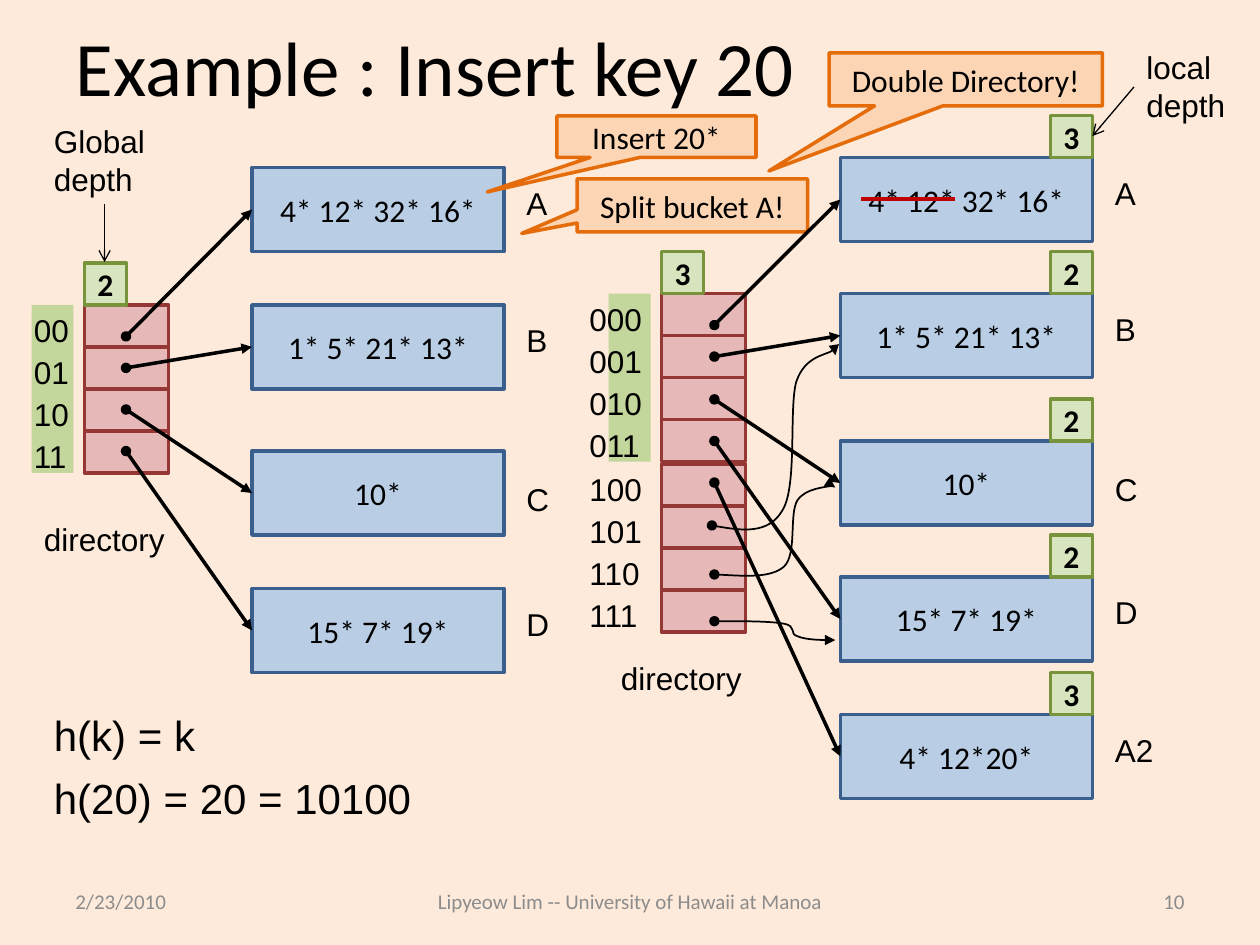
from dataclasses import dataclass
from typing import Any, Optional

from lxml.etree import SubElement
from pptx import Presentation
from pptx.dml.color import RGBColor
from pptx.enum.shapes import MSO_CONNECTOR, MSO_SHAPE
from pptx.enum.text import MSO_ANCHOR, PP_ALIGN
from pptx.oxml.ns import qn
from pptx.util import Inches, Pt


@dataclass(frozen=True)
class Theme:
    background: str = "FDEADA"
    ink: str = "000000"
    muted: str = "8C8C8C"
    strike: str = "C00000"
    band: str = "C3D69B"
    bucket: tuple = ("B9CDE5", "3A5F8C")
    cell: tuple = ("E6B9B8", "953735")
    badge: tuple = ("D7E4BD", "77933C")
    callout: tuple = ("FCD5B5", "E46C0A")
    head_font: str = "Calibri"
    label_font: str = "Arial"
    title: int = 44
    formula: int = 24
    body: int = 18
    footer: int = 12


@dataclass(frozen=True)
class Bucket:
    name: str
    keys: str
    top: float
    depth: str = ""
    name_drop: float = 0.08


@dataclass(frozen=True)
class Directory:
    left: float
    row_tops: list
    tags: list
    tag_left: float
    tag_width: float
    depth: str
    band_left: float
    caption: tuple
    bucket_left: float
    buckets: list
    pointer_left: float
    pointer_tops: list


@dataclass(frozen=True)
class Callout:
    text: str
    box: tuple
    tip: tuple


THEME = Theme()
ROW = 1 / 3
BUCKET_SIZE = (2, 2 * ROW)


def color(code: str) -> RGBColor:
    return RGBColor.from_string(code)


def apply(target: Any, values: dict) -> None:
    for name, value in values.items():
        setattr(target, name, value)


def write(frame: Any, text: str, size: int = THEME.body, font: str = THEME.head_font,
          ink: str = THEME.ink, bold: bool = False, align: Any = PP_ALIGN.LEFT,
          anchor: Any = MSO_ANCHOR.TOP, wrap: bool = True) -> None:
    apply(frame, {"word_wrap": wrap, "vertical_anchor": anchor})
    for index, line in enumerate(text.split("\n")):
        para = frame.paragraphs[0] if index == 0 else frame.add_paragraph()
        para.alignment = align
        span = para.add_run()
        span.text = line
        apply(span.font, {"name": font, "size": Pt(size), "bold": bold})
        span.font.color.rgb = color(ink)


def add_label(page: Any, text: str, box: tuple, **style: Any) -> None:
    label = page.shapes.add_textbox(*map(Inches, box))
    write(label.text_frame, text, **{"font": THEME.label_font, "wrap": False, **style})


def add_box(page: Any, box: tuple, fill: str, line: Optional[str] = None, text: str = "",
            bold: bool = False, preset: Any = MSO_SHAPE.RECTANGLE) -> Any:
    shape = page.shapes.add_shape(preset, *map(Inches, box))
    shape.shadow.inherit = False
    shape.fill.solid()
    shape.fill.fore_color.rgb = color(fill)
    if line:
        shape.line.color.rgb = color(line)
        shape.line.width = Pt(2)
    else:
        shape.line.fill.background()
    if text:
        write(shape.text_frame, text, bold=bold, align=PP_ALIGN.CENTER, anchor=MSO_ANCHOR.MIDDLE)
    return shape


def style_line(shape: Any, width: float, ink: str, head: str, tail: str) -> None:
    shape.line.color.rgb = color(ink)
    shape.line.width = Pt(width)
    outline = shape.line._get_or_add_ln()
    for tag, kind in (("a:headEnd", head), ("a:tailEnd", tail)):
        if kind:
            SubElement(outline, qn(tag)).set("type", kind)


def add_line(page: Any, start: tuple, end: tuple, width: float = 2, ink: str = THEME.ink,
             head: str = "", tail: str = "") -> None:
    line = page.shapes.add_connector(MSO_CONNECTOR.STRAIGHT, *map(Inches, start + end))
    style_line(line, width, ink, head, tail)
    SubElement(line._element.spPr, qn("a:effectLst"))


def add_curve(page: Any, points: list) -> None:
    start, *controls = [tuple(map(Inches, point)) for point in points]
    builder = page.shapes.build_freeform(*start)
    builder.add_line_segments(controls, close=False)
    curve = builder.convert_to_shape()
    curve.shadow.inherit = False
    curve.fill.background()
    style_line(curve, 1, THEME.ink, "oval", "triangle")
    segments = list(curve._element.iter(qn("a:lnTo")))
    outline = segments[0].getparent()
    for first in range(0, len(segments), 3):
        bend = SubElement(outline, qn("a:cubicBezTo"))
        for segment in segments[first:first + 3]:
            bend.append(segment[0])
            outline.remove(segment)


def add_directory(page: Any, table: Directory) -> None:
    add_box(page, (table.band_left, table.row_tops[0], ROW, 4 * ROW), THEME.band)
    for top, tag in zip(table.row_tops, table.tags):
        add_box(page, (table.left, top, 2 * ROW, ROW), *THEME.cell)
        add_label(page, tag, (table.tag_left, top, table.tag_width, 0.4))
    add_box(page, (table.left, table.row_tops[0] - ROW, ROW, ROW), *THEME.badge, table.depth, True)
    add_label(page, "directory", (*table.caption, 1.25, 0.4), wrap=True)
    left = table.bucket_left
    for bucket, pointer_top in zip(table.buckets, table.pointer_tops):
        add_box(page, (left, bucket.top, *BUCKET_SIZE), *THEME.bucket, bucket.keys)
        if bucket.depth:
            add_box(page, (left + 5 * ROW, bucket.top - ROW, ROW, ROW), *THEME.badge,
                    bucket.depth, True)
        add_label(page, bucket.name, (left + 2.08, bucket.top + bucket.name_drop,
                                      0.51 if len(bucket.name) > 1 else 0.37, 0.4))
        add_line(page, (table.pointer_left, pointer_top), (left, bucket.top + ROW),
                 head="oval", tail="triangle")


before = Directory(
    0.67, [2.42 + ROW * i for i in range(4)], [f"{i:02b}" for i in range(4)], 0.17, 0.48,
    "2", 0.25, (0.25, 4.08), 2,
    [Bucket("A", "4* 12* 32* 16*", 1.33), Bucket("B", "1* 5* 21* 13*", 2.42),
     Bucket("C", "10*", 3.58, name_drop=0.18), Bucket("D", "15* 7* 19*", 4.67)],
    1, [2.67, 2.92, 3.25, 3.58])
after = Directory(
    5.25, [(2.33 if i < 4 else 2.35) + ROW * i for i in range(8)],
    [f"{i:03b}" for i in range(8)], 4.58, 0.65, "3", 4.83, (4.83, 5.18), 6.67,
    [Bucket("A", "4* 12* 32* 16*", 1.25, "3"), Bucket("B", "1* 5* 21* 13*", 2.33, "2"),
     Bucket("C", "10*", 3.5, "2", 0.18), Bucket("D", "15* 7* 19*", 4.58, "2"),
     Bucket("A2", "4* 12*20*", 5.67, "3")],
    5.67, [2.58, 2.83, 3.17, 3.5, 3.83])
callouts = [
    Callout("Insert 20*", (4.42, 0.92, 1.58, 0.33), (-0.85, 1.33)),
    Callout("Split bucket A!", (4.58, 1.42, 1.83, 0.42), (-0.74, 0.53)),
    Callout("Double Directory!", (6.58, 0.42, 2.17, 0.42), (-0.72, 1.73))]
shared_pointers = [
    [(5.65, 4.17), (5.87, 4.21), (6.1, 4.24), (6.21, 4.05), (6.33, 3.86), (6.26, 3.24),
     (6.32, 3.03), (6.39, 2.82), (6.56, 2.82), (6.61, 2.78), (6.67, 2.75), (6.65, 2.78), (6.63, 2.82)],
    [(5.67, 4.56), (5.89, 4.57), (6.11, 4.59), (6.22, 4.5), (6.33, 4.4), (6.26, 4.08),
     (6.33, 3.97), (6.4, 3.87), (6.57, 3.87), (6.62, 3.85), (6.67, 3.83), (6.65, 3.85), (6.63, 3.87)],
    [(5.67, 4.93), (5.89, 4.93), (6.11, 4.93), (6.22, 4.95), (6.33, 4.97), (6.26, 5.03),
     (6.33, 5.05), (6.4, 5.08), (6.57, 5.08), (6.62, 5.08), (6.67, 5.08), (6.65, 5.08), (6.63, 5.08)]]
footers = [("2/23/2010", 0.5, 2.33, PP_ALIGN.LEFT),
           ("Lipyeow Lim -- University of Hawaii at Manoa", 3, 4, PP_ALIGN.CENTER),
           ("10", 7.17, 2.33, PP_ALIGN.RIGHT)]

deck = Presentation()
apply(deck, {"slide_width": Inches(10), "slide_height": Inches(7.5)})
page = deck.slides.add_slide(deck.slide_layouts[5])
page.background.fill.solid()
page.background.fill.fore_color.rgb = color(THEME.background)

title = page.shapes.title
apply(title, {"left": Inches(0.5), "top": Inches(0.3), "width": Inches(6.25), "height": Inches(0.45)})
write(title.text_frame, "Example : Insert key 20", THEME.title, anchor=MSO_ANCHOR.MIDDLE)
for text, left, width, align in footers:
    add_label(page, text, (left, 6.95, width, 0.4), size=THEME.footer, font=THEME.head_font,
              ink=THEME.muted, align=align, anchor=MSO_ANCHOR.MIDDLE, wrap=True)

add_directory(page, before)
for note in callouts:
    callout = add_box(page, note.box, *THEME.callout, note.text, preset=MSO_SHAPE.RECTANGULAR_CALLOUT)
    for index, offset in enumerate(note.tip):
        callout.adjustments[index] = offset
add_directory(page, after)
for points in shared_pointers:
    add_curve(page, points)

add_label(page, "Global\ndepth", (0.33, 0.92, 1, 0.71))
add_line(page, (0.83, 1.62), (0.83, 2.08), 0.75, tail="arrow")
add_label(page, "local\ndepth", (9, 0.33, 1, 0.71), wrap=True)
add_line(page, (9, 0.69), (8.67, 1.08), 0.75, tail="arrow")
add_label(page, "h(k) = k", (0.33, 5.58, 1.33, 0.5), size=THEME.formula)
add_label(page, "h(20) = 20 = 10100", (0.33, 6.08, 3.07, 0.5), size=THEME.formula)
add_line(page, (6.83, 1.58), (7.58, 1.58), ink=THEME.strike)

deck.save("out.pptx")
